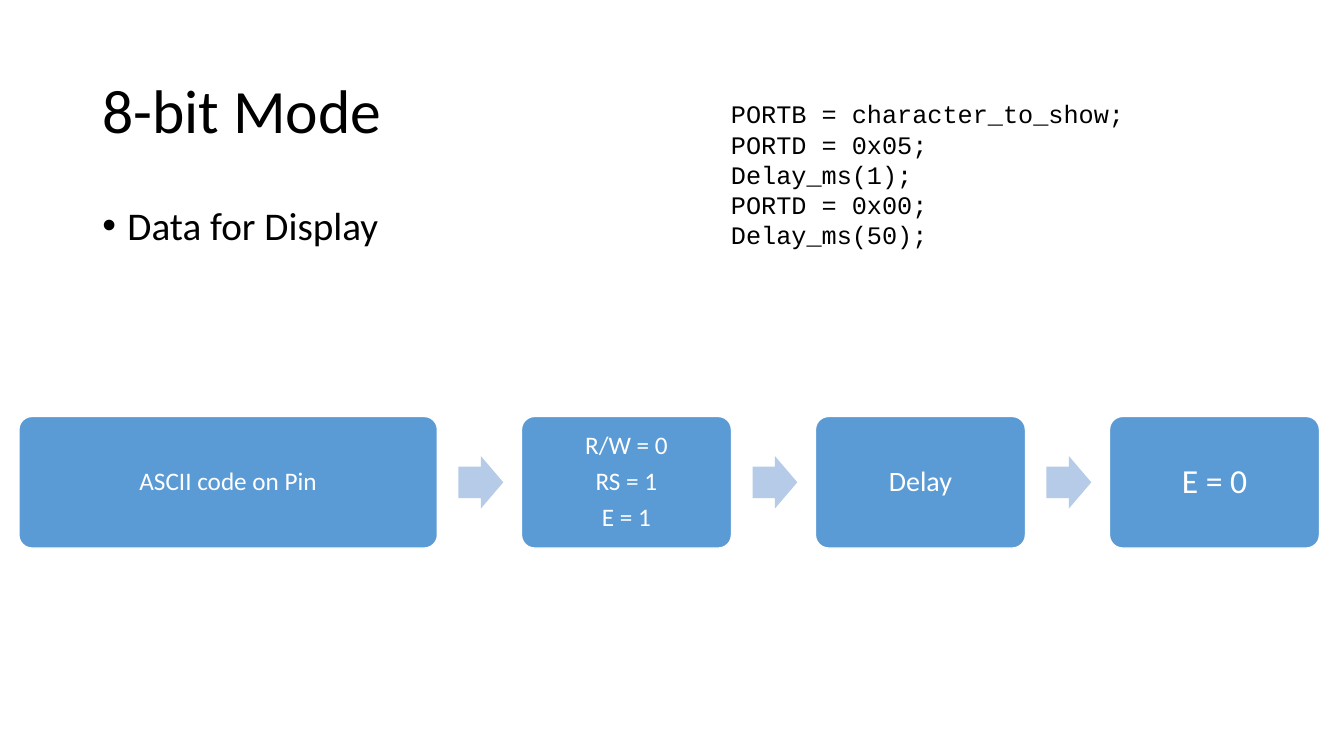
from lxml.etree import SubElement
from pptx import Presentation
from pptx.dml.color import RGBColor
from pptx.enum.shapes import MSO_SHAPE as SHAPE
from pptx.enum.text import MSO_ANCHOR as ANCHOR, PP_ALIGN as ALIGN
from pptx.oxml.ns import qn
from pptx.util import Pt

COLORS = {"text": "000000", "box": "5B9BD5", "arrow": "B5CBE7", "white": "FFFFFF"}


def write(sp, text, size, color="text", font="Calibri", anchor=ANCHOR.TOP,
          align=ALIGN.LEFT, spacing=0.9, after=0):
    """Fill a shape with text, one paragraph per line, and return its frame."""
    tf = sp.text_frame
    tf.word_wrap = True
    tf.vertical_anchor = anchor
    tf.text = text
    for p in tf.paragraphs:
        p.alignment = align
        p.line_spacing = spacing
        p.space_after = Pt(after)
        for r in p.runs:
            r.font.size = Pt(size)
            r.font.name = font
            r.font.color.rgb = RGBColor.from_string(COLORS[color])
    return tf


def add_block(kind, left, top, width, height, fill, adjustments):
    """Add a flat filled preset shape without an outline."""
    sp = s.shapes.add_shape(kind, Pt(left), Pt(top), Pt(width), Pt(height))
    sp.shadow.inherit = False
    sp.fill.solid()
    sp.fill.fore_color.rgb = RGBColor.from_string(COLORS[fill])
    sp.line.fill.background()
    for i, value in enumerate(adjustments):
        sp.adjustments[i] = value
    return sp


prs = Presentation()
prs.slide_width, prs.slide_height = Pt(960), Pt(540)
s = prs.slides.add_slide(prs.slide_layouts[6])

# Title and bullet
title = s.shapes.add_textbox(Pt(66), Pt(28.8), Pt(828), Pt(104.4))
write(title, "8-bit Mode", 44, anchor=ANCHOR.MIDDLE)

body = s.shapes.add_textbox(Pt(66), Pt(144), Pt(828), Pt(342.7))
p = write(body, "Data for Display", 28).paragraphs[0]
p.space_before = Pt(10)
pPr = p._p.get_or_add_pPr()
pPr.set("marL", str(Pt(18)))
pPr.set("indent", str(-Pt(18)))
SubElement(pPr, qn("a:buFont"), typeface="Arial")
SubElement(pPr, qn("a:buChar"), char="•")

# Process flow: boxes with an arrow in each gap
FLOW_TOP, BOX_HEIGHT, GAP = 297.5, 94, 60
ARROW_WIDTH, ARROW_HEIGHT, ARROW_OFFSET = 32, 37.5, 15
steps = [
    ("ASCII code on Pin", 299, 18),
    ("R/W = 0\nRS = 1\nE = 1", 150, 18),
    ("Delay", 150, 20),
    ("E = 0", 150, 24),
]
left = 13.5
for i, (label, width, size) in enumerate(steps):
    if i:
        add_block(SHAPE.RIGHT_ARROW, left - GAP + ARROW_OFFSET,
                  FLOW_TOP + (BOX_HEIGHT - ARROW_HEIGHT) / 2,
                  ARROW_WIDTH, ARROW_HEIGHT, "arrow", (0.6, 0.5))
    box = add_block(SHAPE.ROUNDED_RECTANGLE, left, FLOW_TOP, width, BOX_HEIGHT,
                    "box", (0.1,))
    box.line.color.rgb = RGBColor.from_string(COLORS["white"])
    box.line.width = Pt(1)
    write(box, label, size, "white", anchor=ANCHOR.MIDDLE, align=ALIGN.CENTER,
          after=0.35 * size)
    left += width + GAP

# Code listing
code = s.shapes.add_textbox(Pt(515), Pt(67), Pt(330.5), Pt(116.6))
write(code, "PORTB = character_to_show;\nPORTD = 0x05;\nDelay_ms(1);\n"
            "PORTD = 0x00;\nDelay_ms(50);", 18, font="Courier New", spacing=1.0)

prs.save("out.pptx")
